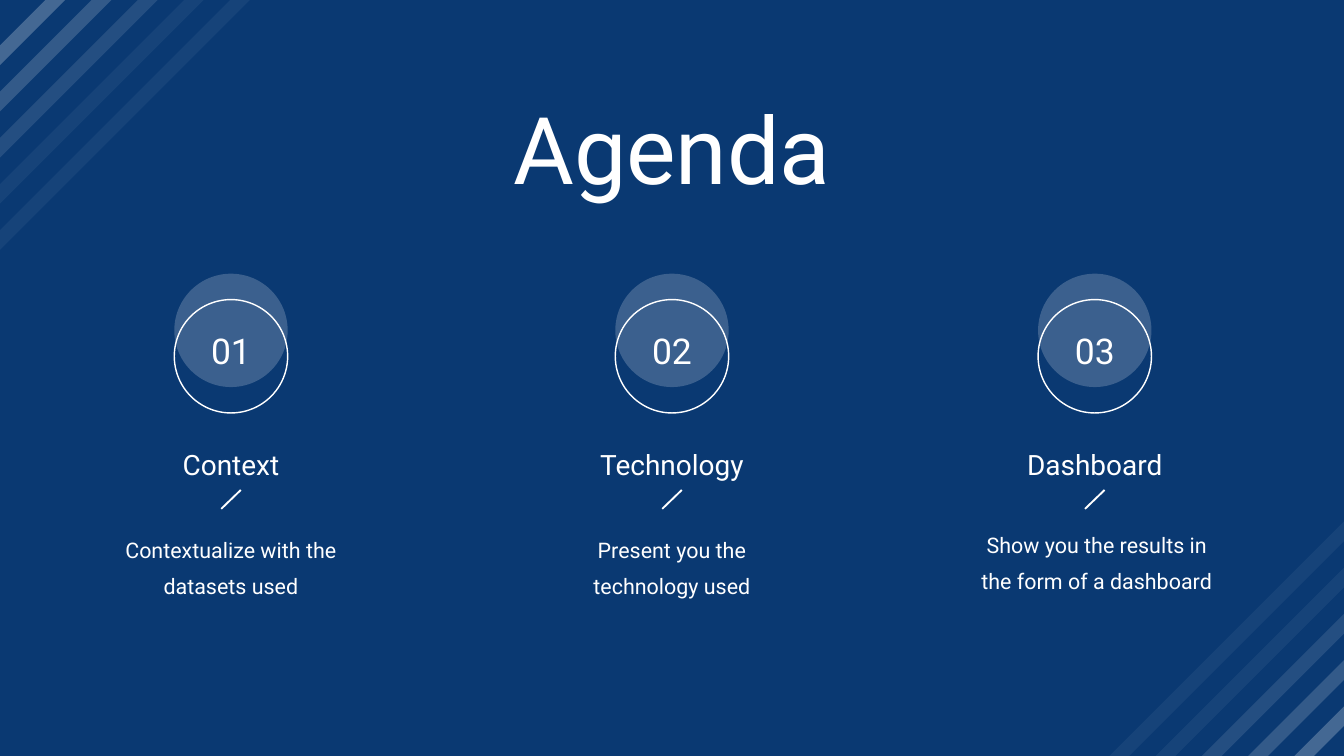
from dataclasses import dataclass

from lxml.etree import SubElement
from pptx import Presentation
from pptx.dml.color import RGBColor
from pptx.enum.shapes import MSO_CONNECTOR, MSO_SHAPE as Shape
from pptx.enum.text import MSO_ANCHOR, MSO_AUTO_SIZE, PP_ALIGN
from pptx.oxml.ns import qn
from pptx.util import Pt

PX = 9525
SLIDE_WIDTH, SLIDE_HEIGHT = 1920, 1080


@dataclass(frozen=True)
class Theme:
    background: RGBColor = RGBColor(0x0A, 0x39, 0x72)
    ink: RGBColor = RGBColor(0xFF, 0xFF, 0xFF)
    font: str = "Roboto"
    title: int = 100
    number: int = 38
    heading: int = 30
    body: int = 23


@dataclass(frozen=True)
class Topic:
    number: str
    heading: str
    description: str
    center: int
    description_center: int
    description_top: int = 753


THEME = Theme()
TOPICS = (
    Topic("01", "Context", "Contextualize with the datasets used", 330, 330),
    Topic("02", "Technology", "Present you the technology used", 960, 960),
    Topic("03", "Dashboard", "Show you the results in the form of a dashboard", 1564, 1567, 746),
)
BADGE_SIZE = 162
STRIPE_WIDTH, STRIPE_STEP = 20, 33
STRIPE_OPACITIES = (24, 17, 11, 5, 5)


def px(*lengths):
    return [round(length * PX) for length in lengths]


def add_text(slide, text, center, top, width, height, size, spacing=1.2):
    box = slide.shapes.add_textbox(*px(center - width / 2, top, width, height))
    frame = box.text_frame
    frame.word_wrap = True
    frame.auto_size = MSO_AUTO_SIZE.SHAPE_TO_FIT_TEXT
    frame.vertical_anchor = MSO_ANCHOR.TOP
    frame.margin_left = frame.margin_right = frame.margin_top = frame.margin_bottom = 0
    paragraph = frame.paragraphs[0]
    paragraph.alignment = PP_ALIGN.CENTER
    paragraph.line_spacing = spacing
    run = paragraph.add_run()
    run.text = text
    run.font.name = THEME.font
    run.font.size = Pt(size)
    run.font.color.rgb = THEME.ink


def add_tint(slide, preset, left, top, width, height, opacity):
    """Add a borderless shape in the ink colour; opacity is in percent."""
    tint = slide.shapes.add_shape(preset, *px(left, top, width, height))
    tint.shadow.inherit = False
    tint.line.fill.background()
    tint.fill.solid()
    tint.fill.fore_color.rgb = THEME.ink
    color = tint.fill._xPr.find(f".//{qn('a:srgbClr')}")
    SubElement(color, qn("a:alpha"), val=str(opacity * 1000))
    return tint


def add_ring(slide, left, top, size):
    ring = slide.shapes.add_shape(Shape.OVAL, *px(left, top, size, size))
    ring.shadow.inherit = False
    ring.fill.background()
    ring.line.color.rgb = THEME.ink
    ring.line.width = Pt(1.5)


def add_slash(slide, center):
    slash = slide.shapes.add_connector(
        MSO_CONNECTOR.STRAIGHT, *px(center - 14, 727, center + 14, 700))
    slash.line.color.rgb = THEME.ink
    slash.line.width = Pt(2)
    SubElement(slash._element.spPr, qn("a:effectLst"))


def add_topic(slide, topic):
    badge_left = topic.center - BADGE_SIZE // 2
    add_tint(slide, Shape.OVAL, badge_left, 391, BADGE_SIZE, BADGE_SIZE, 20)
    add_ring(slide, badge_left, 428, BADGE_SIZE)
    add_text(slide, topic.number, topic.center, 458, 97, 60, THEME.number)
    add_text(slide, topic.heading, topic.center, 629, 348, 59, THEME.heading)
    add_slash(slide, topic.center)
    add_text(slide, topic.description, topic.description_center, topic.description_top,
             348, 104, THEME.body, 1.4)


def add_corner_stripes(slide, center_x, center_y, step, rotation):
    """Add diagonal stripes that fade from the corner towards the middle."""
    for index, opacity in enumerate(STRIPE_OPACITIES):
        left = center_x + index * step - STRIPE_WIDTH / 2
        top = center_y + index * step - SLIDE_HEIGHT / 2
        stripe = add_tint(slide, Shape.RECTANGLE, left, top, STRIPE_WIDTH, SLIDE_HEIGHT, opacity)
        stripe.rotation = rotation


def main():
    deck = Presentation()
    deck.slide_width, deck.slide_height = px(SLIDE_WIDTH, SLIDE_HEIGHT)
    slide = deck.slides.add_slide(deck.slide_layouts[6])
    slide.background.fill.solid()
    slide.background.fill.fore_color.rgb = THEME.background

    for topic in TOPICS:
        add_topic(slide, topic)
    add_text(slide, "Agenda", 960, 97, 1733, 196, THEME.title, 1.21)
    add_corner_stripes(slide, 10, 69, STRIPE_STEP, 45)
    add_corner_stripes(slide, 1882, 1061, -STRIPE_STEP, 225)
    deck.save("out.pptx")


if __name__ == "__main__":
    main()
